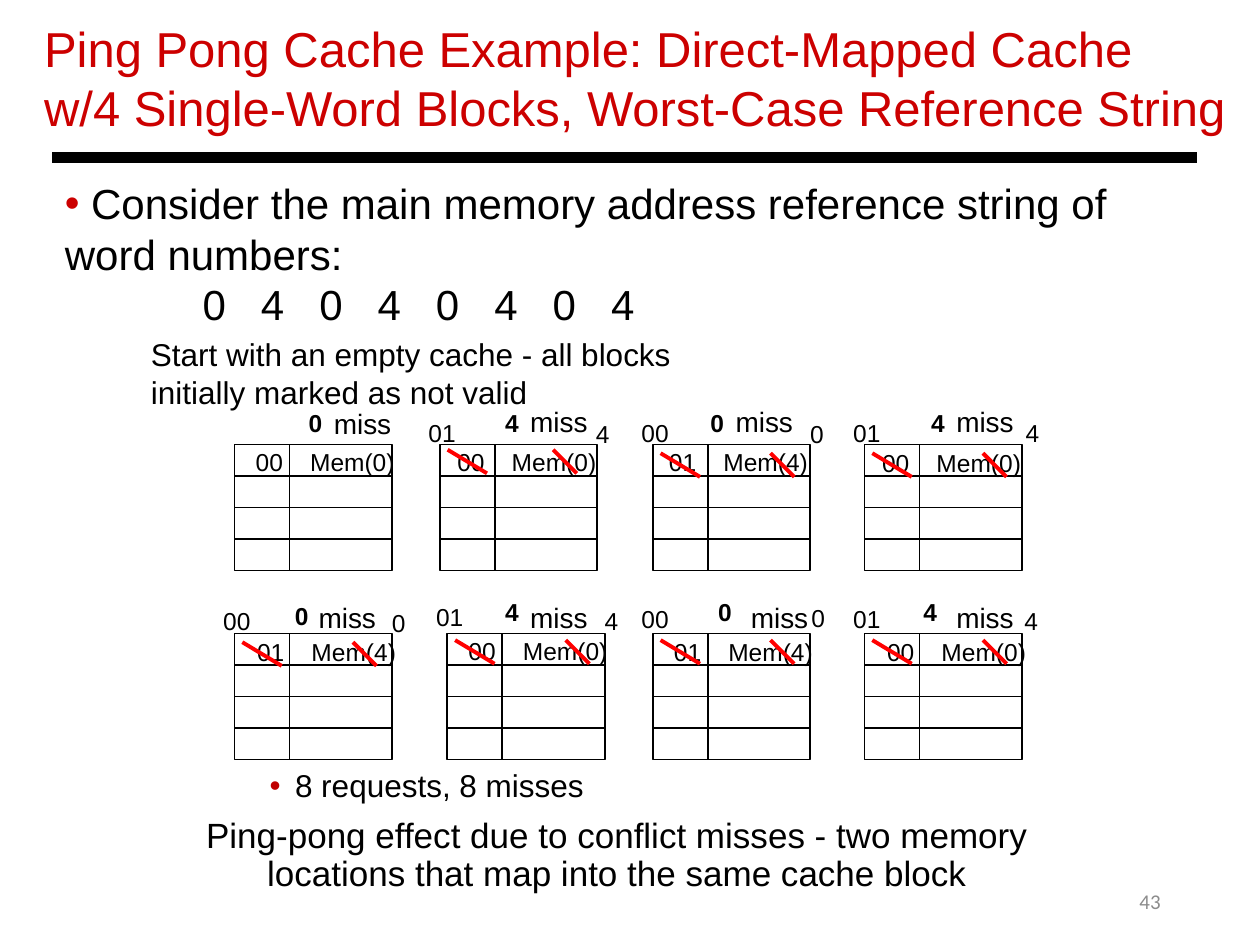
from dataclasses import dataclass

from lxml.etree import SubElement
from pptx import Presentation
from pptx.dml.color import RGBColor
from pptx.enum.shapes import MSO_CONNECTOR as Connector, MSO_SHAPE as Shape
from pptx.enum.text import MSO_ANCHOR as Anchor, PP_ALIGN as Align
from pptx.oxml.ns import qn
from pptx.util import Pt


@dataclass(frozen=True)
class Theme:
    font: str = "Arial"
    number_font: str = "Calibri"
    black: str = "000000"
    title: str = "CC0000"
    bullet: str = "C00000"
    strike: str = "FF0000"
    muted: str = "8C8C8C"
    title_size: int = 28
    body_size: int = 24
    effect_size: int = 20
    note_size: int = 18
    miss_size: int = 16
    label_size: int = 14
    number_size: int = 12


THEME = Theme()

TITLE = ("Ping Pong Cache Example: Direct-Mapped Cache\v"
         "w/4 Single-Word Blocks, Worst-Case Reference String")
INTRO = " Consider the main memory address reference string of word numbers:"
REFERENCES = [0, 4, 0, 4, 0, 4, 0, 4]
START = "Start with an empty cache - all blocks initially marked as not valid"
SUMMARY = "8 requests, 8 misses"
EFFECT = ("Ping-pong effect due to conflict misses - two memory locations "
          "that map into the same cache block")
SLIDE_NUMBER = "43"

BLOCKS = 4
TAG_WIDTH, DATA_WIDTH, ROW_HEIGHT = 31.5, 58.5, 18
TAG_STRIKE, DATA_STRIKE = (22.5, 13.5), (13.5, 13.5)
NEW_TAG_X, TAG_STRIKE_X = -13.5, 4.5

# Top left of each cache, then label offsets from that corner.
CACHES = [
    dict(at=(134, 254), request=(35.3, -24.5), miss=(49.7, -25.2), entry=(5, -2.2)),
    dict(at=(251.3, 254), request=(30.2, -24.5), miss=(44.6, -26.6), entry=(2.9, -2.2),
         strike_y=3, data_strike_x=64.8, new_tag_y=-18.7, new_block=(82.1, -18)),
    dict(at=(373, 254), request=(25.9, -24.5), miss=(40.3, -26.6), entry=(2.2, -2.2),
         strike_y=5, data_strike_x=67.3, new_tag_y=-18.7, new_block=(82.8, -18)),
    dict(at=(494, 254), request=(31, -24.5), miss=(45.4, -26.6), entry=(2.9, -1.4),
         strike_y=5, data_strike_x=67.7, new_tag_y=-18.7, new_block=(85, -18.7)),
    dict(at=(134, 362), request=(27.4, -22.3), miss=(41, -22.3), entry=(5.8, -1.4),
         strike_y=5, data_strike_x=67.7, new_tag_y=-19.4, new_block=(82.8, -18)),
    dict(at=(255.6, 362), request=(25.9, -24.5), miss=(40.3, -22.3), entry=(5, -2.2),
         strike_y=3.8, data_strike_x=67.7, new_tag_y=-21.6, new_block=(82.8, -19.4)),
    dict(at=(373, 362), request=(30.2, -24.5), miss=(49, -22.3), entry=(5, -1.4),
         strike_y=3.8, data_strike_x=67.3, new_tag_y=-20.2, new_block=(83.5, -20.9)),
    dict(at=(494, 362), request=(26.6, -24.5), miss=(45.4, -22.3), entry=(5.8, -1.4),
         strike_y=3.8, data_strike_x=67.7, new_tag_y=-20.2, new_block=(84.2, -19.4)),
]


def style(paragraph, size, color=THEME.black, font=THEME.font, bold=False):
    for run in paragraph.runs:
        run.font.name, run.font.size, run.font.bold = font, Pt(size), bold
        run.font.color.rgb = RGBColor.from_string(color)


def add_text(shapes, text, box, size, wrap=True, margins=None, **look):
    frame = shapes.add_textbox(*map(Pt, box)).text_frame
    frame.word_wrap = wrap
    if margins:
        frame.margin_left = frame.margin_right = Pt(margins[0])
        frame.margin_top = frame.margin_bottom = Pt(margins[1])
    frame.text = text
    for paragraph in frame.paragraphs:
        style(paragraph, size, **look)
    return frame


def add_label(shapes, text, corner, offset, width, size=THEME.label_size, **look):
    box = (corner[0] + offset[0], corner[1] + offset[1], width, 24.5)
    add_text(shapes, text, box, size, **look)


def add_line(shapes, x, y, dx, dy, width, color=THEME.black):
    line = shapes.add_connector(Connector.STRAIGHT, *map(Pt, (x, y, x + dx, y + dy)))
    line.line.width = Pt(width)
    line.line.color.rgb = RGBColor.from_string(color)
    SubElement(line._element.spPr, qn("a:effectLst"))


def add_bullet(paragraph, color, margin=0, indent=0):
    properties = paragraph._p.get_or_add_pPr()
    properties.set("marL", str(Pt(margin)))
    properties.set("indent", str(Pt(indent)))
    bullet_color = SubElement(properties, qn("a:buClr"))
    SubElement(bullet_color, qn("a:srgbClr"), val=color)
    SubElement(properties, qn("a:buFont"), typeface=THEME.font)
    SubElement(properties, qn("a:buChar"), char="•")


def add_tab_stops(paragraph, positions):
    stops = SubElement(paragraph._p.get_or_add_pPr(), qn("a:tabLst"))
    for position in positions:
        SubElement(stops, qn("a:tab"), pos=str(Pt(position)), algn="l")


def add_column(shapes, x, y, width):
    column = shapes.add_shape(Shape.RECTANGLE,
                              *map(Pt, (x, y, width, BLOCKS * ROW_HEIGHT)))
    column.shadow.inherit = False
    column.fill.background()
    column.line.width = Pt(1)
    column.line.color.rgb = RGBColor.from_string(THEME.black)
    for row in range(1, BLOCKS):
        add_line(shapes, x, y + row * ROW_HEIGHT, width, 0, 1)


def tag_of(address):
    return f"{address // BLOCKS:02b}"


def add_cache(shapes, cache, address, held):
    """Draw one cache state; held is the address that the request replaces."""
    corner = x, y = cache["at"]
    add_column(shapes, x, y, TAG_WIDTH)
    add_column(shapes, x + TAG_WIDTH, y, DATA_WIDTH)
    add_label(shapes, str(address), corner, cache["request"], 22.3, wrap=False, bold=True)
    add_label(shapes, "miss", corner, cache["miss"], 47.5, THEME.miss_size, wrap=False)

    shown = address if held is None else held
    entry_x, entry_y = cache["entry"]
    entry = add_text(shapes, f"{tag_of(shown)}\tMem({shown})",
                     (x + entry_x, y + entry_y, 98, 24.5), THEME.label_size)
    add_tab_stops(entry.paragraphs[0], [31.1])
    if held is None:
        return

    change = shapes.add_group_shape().shapes
    strikes = [(TAG_STRIKE_X, TAG_STRIKE), (cache["data_strike_x"], DATA_STRIKE)]
    for strike_x, size in strikes:
        add_line(change, x + strike_x, y + cache["strike_y"], *size, 2.25, THEME.strike)
    add_label(change, tag_of(address), corner, (NEW_TAG_X, cache["new_tag_y"]), 30, wrap=False)
    add_label(change, str(address), corner, cache["new_block"], 22.3, wrap=False)


def add_title(slide):
    title = slide.shapes.title
    title.left, title.top, title.width, title.height = map(Pt, (18, 7.2, 698, 75))
    frame = title.text_frame
    frame.text = TITLE
    frame.vertical_anchor = Anchor.TOP
    frame.word_wrap = True
    frame.paragraphs[0].alignment = Align.LEFT
    style(frame.paragraphs[0], THEME.title_size, THEME.title)


def main():
    deck = Presentation()
    deck.slide_width, deck.slide_height = Pt(720), Pt(540)
    slide = deck.slides.add_slide(deck.slide_layouts[5])
    shapes = slide.shapes
    add_title(slide)
    add_line(shapes, 30, 90, 654, 0, 6)

    sequence = "".join(f"\t{address}" for address in REFERENCES)
    intro = add_text(shapes, f"{INTRO}\n{sequence}", (30, 98, 651, 124), THEME.body_size)
    add_bullet(intro.paragraphs[0], THEME.title)
    add_tab_stops(intro.paragraphs[1],
                  [78.7 + 33.35 * step for step in range(len(REFERENCES))])

    for cache, address, held in zip(CACHES, REFERENCES, [None] + REFERENCES):
        add_cache(shapes, cache, address, held)

    add_text(shapes, START, (79.2, 188, 332, 51), THEME.note_size)
    effect = add_text(shapes, EFFECT, (111.6, 466, 482, 47), THEME.effect_size,
                      margins=(3.6, 1.5))
    effect.paragraphs[0].alignment = Align.CENTER
    effect.paragraphs[0].line_spacing = 0.9
    summary = add_text(shapes, SUMMARY, (121, 436.5, 482, 25), THEME.note_size,
                       margins=(3.6, 1.5))
    summary.paragraphs[0].level = 1
    add_bullet(summary.paragraphs[0], THEME.bullet, 44, -14.5)

    number = add_text(shapes, SLIDE_NUMBER, (508.3, 500.4, 162, 28.8), THEME.number_size,
                      color=THEME.muted, font=THEME.number_font)
    number.vertical_anchor = Anchor.MIDDLE
    number.paragraphs[0].alignment = Align.RIGHT
    deck.save("out.pptx")


if __name__ == "__main__":
    main()
